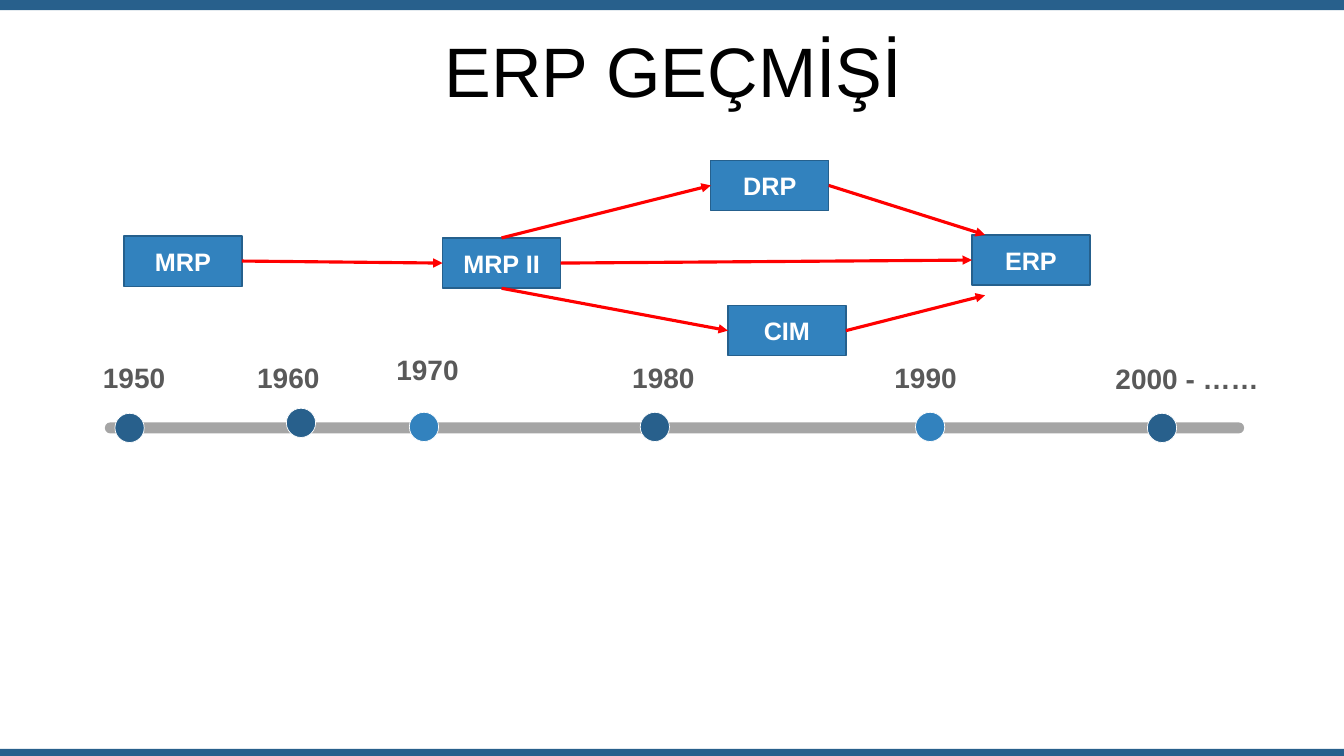
from lxml.etree import SubElement
from pptx import Presentation
from pptx.dml.color import RGBColor
from pptx.enum.shapes import MSO_CONNECTOR as Connector, MSO_SHAPE as Shape
from pptx.enum.text import MSO_ANCHOR as Anchor, PP_ALIGN as Align
from pptx.oxml.ns import qn
from pptx.util import Inches, Pt

COLORS = {
    "dark": "28608C",
    "light": "3282BE",
    "edge": "25608D",
    "track": "808080",
    "year": "595959",
    "arrow": "FF0000",
    "white": "FFFFFF",
    "black": "000000",
}
TOP, LEFT, BOTTOM, RIGHT = range(4)
SYSTEM_SIZE = (1.17, 0.5)
DOT = 0.29


def rgb(name):
    return RGBColor.from_string(COLORS[name])


class HistorySlide:
    font = "Arial"

    def __init__(self, deck):
        self.page = deck.slides.add_slide(deck.slide_layouts[6])

    def shape(self, kind, left, top, width, height, fill, line=None, weight=1):
        item = self.page.shapes.add_shape(
            kind, Inches(left), Inches(top), Inches(width), Inches(height))
        item.shadow.inherit = False
        item.fill.solid()
        item.fill.fore_color.rgb = rgb(fill)
        if line:
            item.line.color.rgb = rgb(line)
            item.line.width = Pt(weight)
        else:
            item.line.fill.background()
        return item

    def fill_text(self, frame, text, size, color, bold=True):
        """Fill a text frame with one centred paragraph."""
        frame.word_wrap = True
        para = frame.paragraphs[0]
        para.text = text
        para.alignment = Align.CENTER
        para.font.name = self.font
        para.font.size = Pt(size)
        para.font.bold = bold
        para.font.color.rgb = rgb(color)

    def text(self, left, top, width, height, text, size, color, bold=True):
        box = self.page.shapes.add_textbox(
            Inches(left), Inches(top), Inches(width), Inches(height))
        self.fill_text(box.text_frame, text, size, color, bold)
        return box

    def title(self, text):
        frame = self.text(0.35, 0.37, 12.66, 0.79, text, 50, "black", False).text_frame
        frame.vertical_anchor = Anchor.MIDDLE
        frame.paragraphs[0].line_spacing = 0.8

    def track(self, left, top, width, height):
        """Draw the rounded, translucent time axis."""
        bar = self.shape(Shape.ROUNDED_RECTANGLE, left, top, width, height, "track")
        bar.adjustments[0] = 0.5
        color = bar._element.spPr.find(".//" + qn("a:srgbClr"))
        SubElement(color, qn("a:alpha"), val="70000")

    def system(self, name, left, top):
        box = self.shape(Shape.RECTANGLE, left, top, *SYSTEM_SIZE, "light", "edge")
        box.text_frame.vertical_anchor = Anchor.MIDDLE
        self.fill_text(box.text_frame, name, 18, "white")
        return box

    def arrow(self, source, source_side, target=None, target_side=None, tip=(0, 0)):
        """Join two boxes, or run from a box to a free tip."""
        line = self.page.shapes.add_connector(
            Connector.STRAIGHT, 0, 0, Inches(tip[0]), Inches(tip[1]))
        line.begin_connect(source, source_side)
        if target is not None:
            line.end_connect(target, target_side)
        line.line.color.rgb = rgb("arrow")
        line.line.width = Pt(2.25)
        outline = line._element.spPr.find(qn("a:ln"))
        SubElement(outline, qn("a:tailEnd"), type="triangle")
        SubElement(line._element.spPr, qn("a:effectLst"))


def main():
    deck = Presentation()
    deck.slide_width, deck.slide_height = Inches(13.33), Inches(7.5)
    slide = HistorySlide(deck)

    for top, height in ((0, 0.1), (7.43, 0.07)):
        slide.shape(Shape.RECTANGLE, 0, top, 13.33, height, "dark")
    slide.title("ERP GEÇMİŞİ")

    slide.track(1.04, 4.19, 11.3, 0.11)
    milestones = [  # year, label left, top, width, dot left, top, colour
        ("1950", 0.64, 3.53, 1.38, 1.14, 4.1, "dark"),
        ("1960", 2.17, 3.53, 1.38, 2.84, 4.05, "dark"),
        ("1970", 3.55, 3.45, 1.38, 4.06, 4.09, "light"),
        ("1980", 5.89, 3.53, 1.38, 6.35, 4.09, "dark"),
        ("1990", 8.49, 3.53, 1.38, 9.08, 4.09, "light"),
        ("2000 - ……", 10.83, 3.54, 1.89, 11.38, 4.1, "dark"),
    ]
    for year, left, top, width, dot_left, dot_top, color in milestones:
        slide.shape(Shape.OVAL, dot_left, dot_top, DOT, DOT, color, "white", 0.5)
        slide.text(left, top, width, 0.44, year, 20, "year")

    mrp = slide.system("MRP", 1.23, 2.34)
    mrp_two = slide.system("MRP II", 4.39, 2.36)
    drp = slide.system("DRP", 7.05, 1.59)
    cim = slide.system("CIM", 7.22, 3.03)
    erp = slide.system("ERP", 9.64, 2.33)

    slide.arrow(mrp, RIGHT, mrp_two, LEFT)
    slide.arrow(mrp_two, TOP, drp, LEFT)
    slide.arrow(mrp_two, BOTTOM, cim, LEFT)
    slide.arrow(drp, RIGHT, tip=(9.77, 2.33))
    slide.arrow(cim, RIGHT, tip=(9.77, 2.93))
    slide.arrow(mrp_two, RIGHT, erp, LEFT)

    deck.save("out.pptx")


if __name__ == "__main__":
    main()
